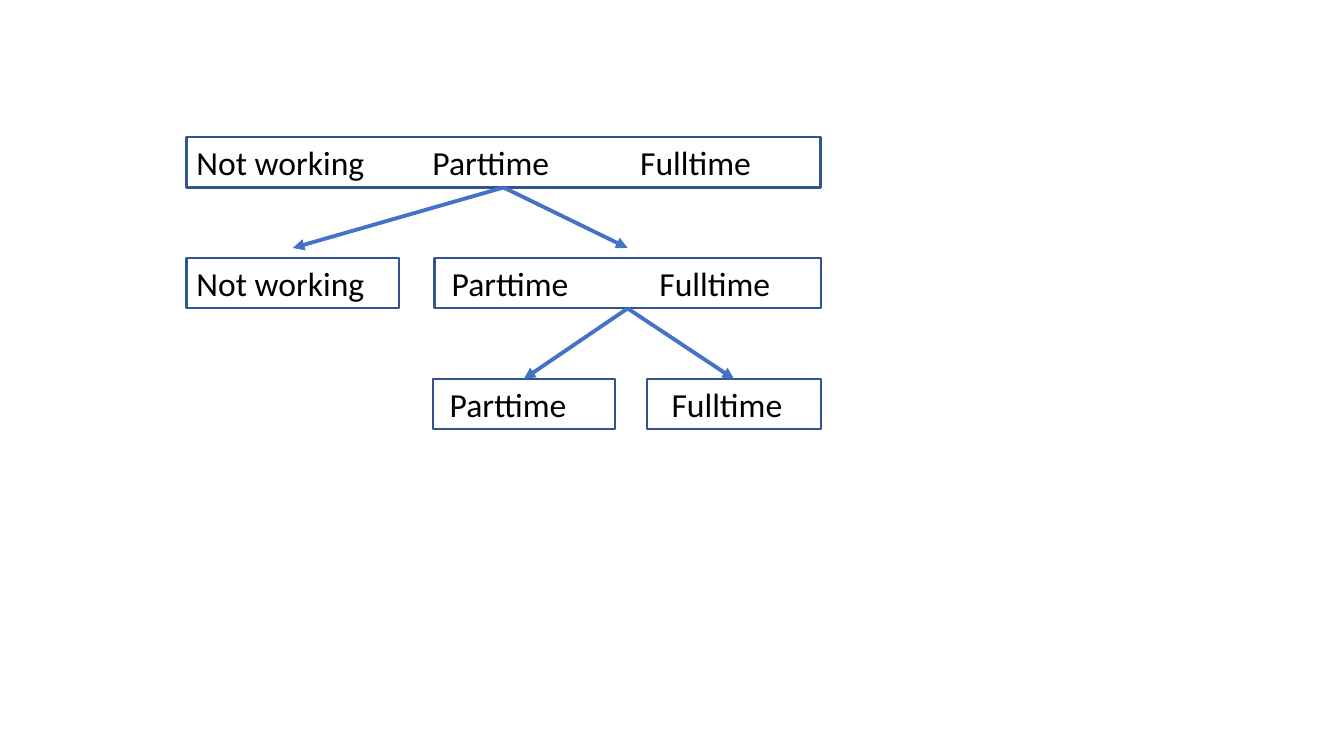
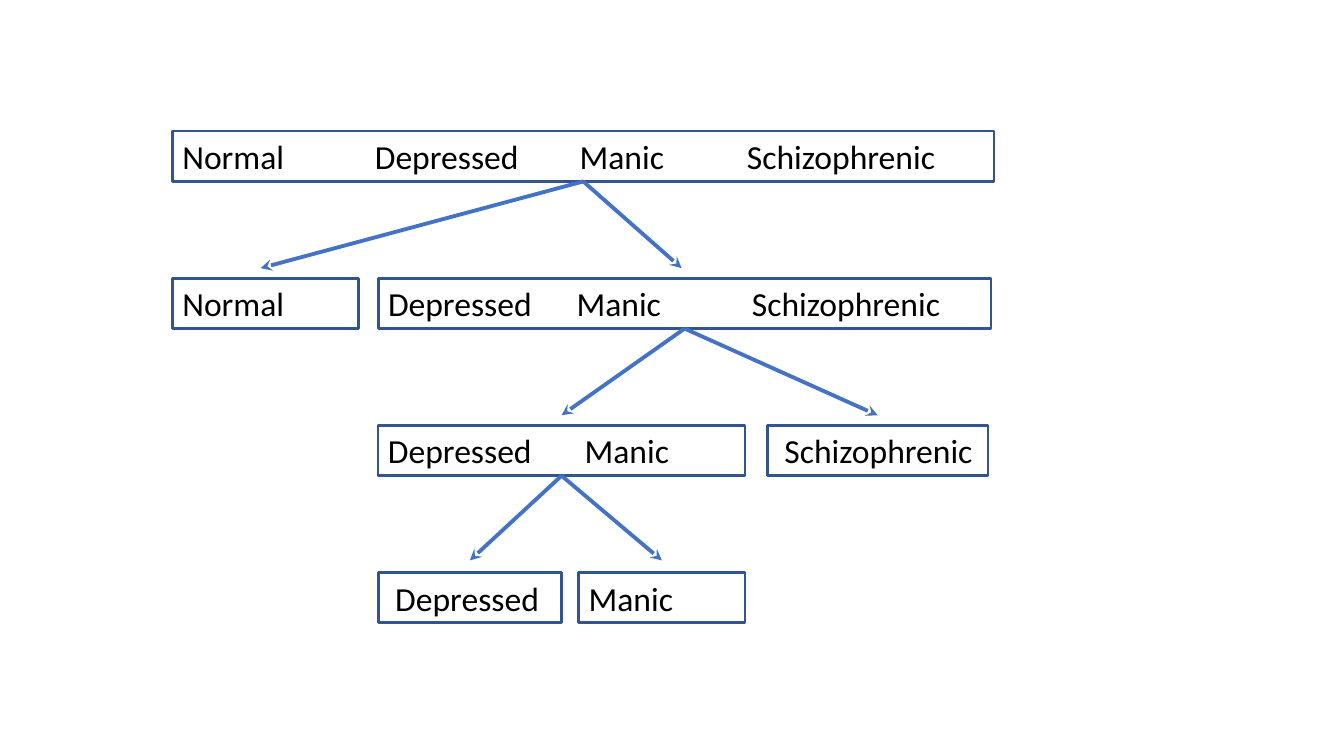
from dataclasses import dataclass
from lxml.etree import SubElement
from pptx import Presentation
from pptx.dml.color import RGBColor
from pptx.enum.shapes import MSO_CONNECTOR
from pptx.enum.text import MSO_ANCHOR, MSO_AUTO_SIZE
from pptx.oxml.ns import qn
from pptx.util import Inches, Pt

COLUMN = Inches(1)
BOX_HEIGHT = 0.5
INSET = 0.1
COLORS = {"border": "325491", "arrow": "4472C4", "text": "000000"}
FONT_FORMAT = {"name": "Calibri", "size": Pt(24)}
FRAME_FORMAT = {
    "word_wrap": True,
    "auto_size": MSO_AUTO_SIZE.SHAPE_TO_FIT_TEXT,
    "vertical_anchor": MSO_ANCHOR.MIDDLE,
}


@dataclass
class Node:
    left: float
    width: float
    labels: dict
    children: tuple = ()
    border: float = 2
    gap: float = 0.1
    shift: float = 0


@dataclass
class Tree:
    left: float
    top: float
    row_step: float
    arrowhead: str
    root: Node


def columns(count):
    return round(count * COLUMN)


def color(name):
    return RGBColor.from_string(COLORS[name])


def apply_format(target, values):
    for attribute, value in values.items():
        setattr(target, attribute, value)


def write_labels(box, labels):
    frame = box.text_frame
    first, *others = labels.values()
    apply_format(frame, FRAME_FORMAT)
    frame.margin_left = columns(INSET + first)
    para = frame.paragraphs[0]
    span = para.add_run()
    span.text = "\t".join(labels)
    apply_format(span.font, FONT_FORMAT)
    span.font.color.rgb = color("text")
    if others:
        tabs = SubElement(para._p.get_or_add_pPr(), qn("a:tabLst"))
        for offset in others:
            SubElement(tabs, qn("a:tab"), pos=str(columns(offset - first)), algn="l")


def add_box(page, tree, node, depth):
    box = page.shapes.add_textbox(
        columns(tree.left + node.left),
        columns(tree.top + depth * tree.row_step),
        columns(node.width),
        columns(BOX_HEIGHT),
    )
    box.fill.background()
    box.line.color.rgb = color("border")
    box.line.width = Pt(node.border)
    write_labels(box, node.labels)
    return box


def add_arrow(page, parent, child, node, arrowhead):
    end_x = child.left + child.width // 2 + columns(node.shift)
    end_y = child.top - columns(node.gap)
    arrow = page.shapes.add_connector(
        MSO_CONNECTOR.STRAIGHT,
        parent.left + parent.width // 2, parent.top + parent.height,
        end_x, end_y,
    )
    arrow.begin_connect(parent, 2)
    if not node.gap:
        arrow.end_connect(child, 0)
    arrow.line.color.rgb = color("arrow")
    arrow.line.width = Pt(2.75)
    SubElement(arrow.line._get_or_add_ln(), qn("a:tailEnd"), type=arrowhead)
    SubElement(arrow._element.spPr, qn("a:effectLst"))


def add_branch(page, tree, node, depth=0):
    box = add_box(page, tree, node, depth)
    for child in node.children:
        child_box = add_branch(page, tree, child, depth + 1)
        add_arrow(page, box, child_box, child, tree.arrowhead)
    return box


def work_tree():
    parttime = Node(2.44, 1.81, {"Parttime": 0.07}, border=1.5, gap=0)
    fulltime = Node(4.57, 1.72, {"Fulltime": 0.14}, border=1.5, gap=0)
    working = Node(2.46, 3.83, {"Parttime": 0.07, "Fulltime": 2.13},
                   (parttime, fulltime), border=1.5)
    not_working = Node(0, 2.11, {"Not working": 0}, border=1.5)
    root = Node(0, 6.29, {"Not working": 0, "Parttime": 2.34, "Fulltime": 4.4},
                (not_working, working))
    return Tree(1.85, 1.36, 1.2, "triangle", root)


def diagnosis_tree():
    depressed = Node(2.04, 1.82, {"Depressed": 0.07}, gap=0.12)
    manic = Node(4.03, 1.65, {"Manic": 0}, gap=0.12)
    mood = Node(2.04, 3.64, {"Depressed": 0, "Manic": 1.95}, (depressed, manic))
    schizophrenic = Node(5.9, 2.19, {"Schizophrenic": 0.07})
    ill = Node(2.04, 6.08, {"Depressed": 0, "Manic": 1.87, "Schizophrenic": 3.61},
               (mood, schizophrenic), shift=-0.03)
    normal = Node(0, 1.85, {"Normal": 0}, shift=-0.05)
    root = Node(0, 8.15,
                {"Normal": 0, "Depressed": 1.91, "Manic": 3.94, "Schizophrenic": 5.6},
                (normal, ill))
    return Tree(1.71, 1.3, 1.46, "stealth", root)


def main():
    deck = Presentation()
    deck.slide_width = Inches(13.33)
    deck.slide_height = Inches(7.5)
    for tree in (work_tree(), diagnosis_tree()):
        page = deck.slides.add_slide(deck.slide_layouts[6])
        add_branch(page, tree, tree.root)
    deck.save("out.pptx")


if __name__ == "__main__":
    main()
